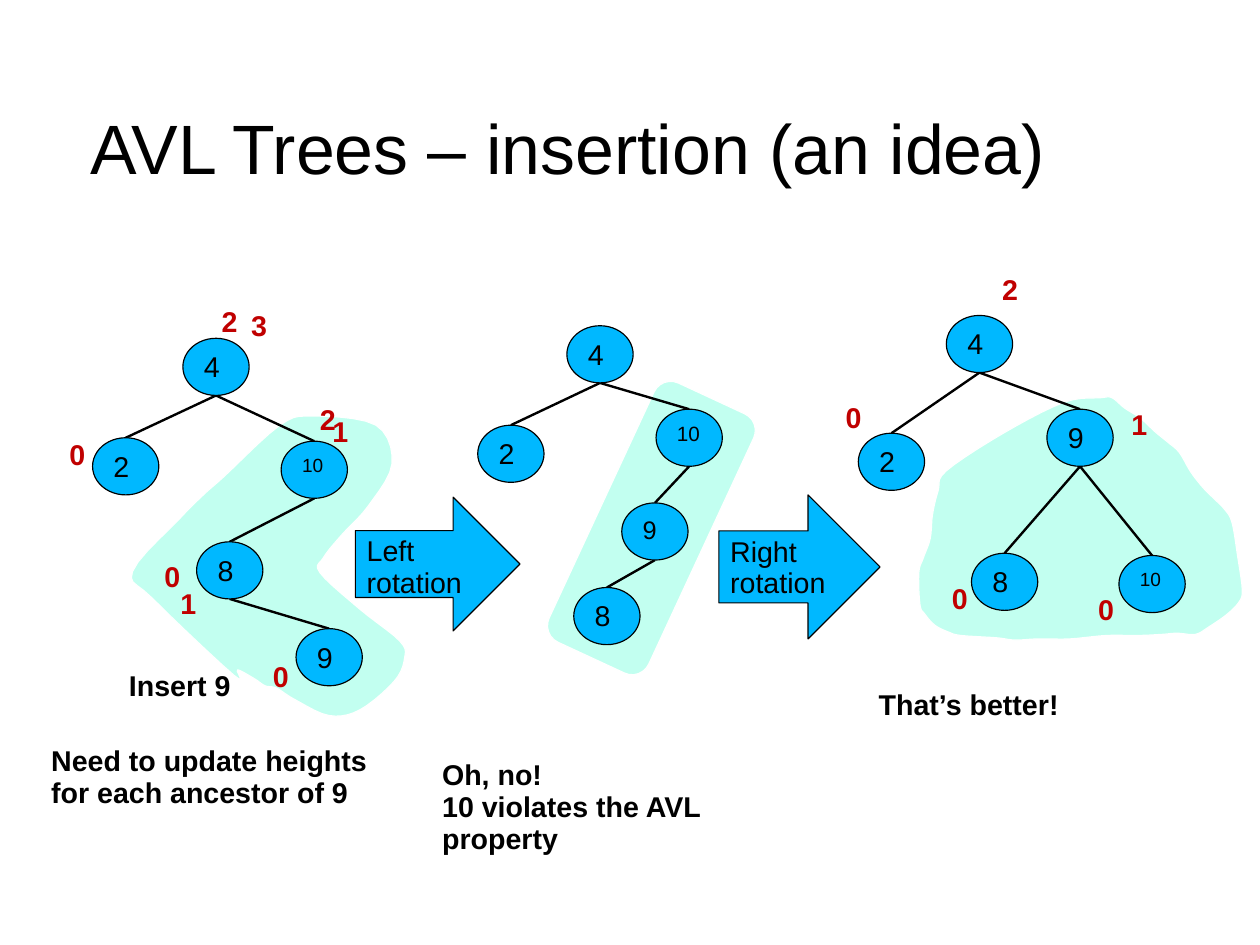
from lxml import etree
from pptx import Presentation
from pptx import util as u
from pptx.dml.color import RGBColor
from pptx.enum import shapes, text
from pptx.oxml.ns import qn

PX = 9144  # 100 px to the inch
SLIDE_WIDTH, SLIDE_HEIGHT = u.Pt(793.75), u.Pt(595.25)
NODE_WIDTH, NODE_HEIGHT = 58, 50
COLORS = {"ink": "000000", "node": "00B8FF", "height": "C00000",
          "highlight": "C2FFF0", "paper": "FFFFFF"}

ZIGZAG_OUTLINE = [
    (89, 227), (18, 160), (0, 136), (41, 90), (63, 68), (80, 53), (129, 8),
    (158, 0), (213, 8), (227, 42), (206, 79), (183, 104), (167, 124),
    (164, 137), (199, 169), (234, 197), (238, 212), (229, 232), (199, 257),
    (172, 262), (142, 248), (126, 238), (116, 236), (107, 230), (92, 222)]
SUBTREE_OUTLINE = [
    (24, 64), (74, 31), (127, 4), (159, 0), (169, 0), (180, 9), (194, 18),
    (207, 30), (218, 39), (228, 48), (238, 65), (249, 79), (258, 88),
    (267, 97), (274, 109), (279, 139), (283, 168), (280, 179), (269, 190),
    (253, 201), (242, 207), (226, 206), (213, 207), (192, 208), (164, 208),
    (132, 211), (104, 211), (84, 212), (68, 210), (37, 208), (26, 205),
    (14, 199), (5, 189), (1, 181), (0, 153), (4, 140), (10, 123),
    (12, 102), (17, 81)]


def color(name):
    return RGBColor.from_string(COLORS[name])


def px(*lengths):
    return [u.Emu(round(length * PX)) for length in lengths]


def write(frame, content, size=18, ink="ink", bold=False, wrap=True,
          anchor=text.MSO_ANCHOR.TOP):
    frame.word_wrap = wrap
    frame.vertical_anchor = anchor
    for index, line in enumerate(content.split("\n")):
        paragraph = frame.add_paragraph() if index else frame.paragraphs[0]
        paragraph.alignment = text.PP_ALIGN.LEFT
        paragraph.line_spacing = 0.93
        run = paragraph.add_run()
        run.text = line
        run.font.name = "Arial"
        run.font.size = u.Pt(size)
        run.font.bold = bold
        run.font.color.rgb = color(ink)


def add_label(slide, box, content, **style):
    frame = slide.shapes.add_textbox(*px(*box)).text_frame
    write(frame, content, bold=True, **style)
    frame.auto_size = text.MSO_AUTO_SIZE.SHAPE_TO_FIT_TEXT


def paint(shape, fill, line):
    shape.shadow.inherit = False
    shape.fill.solid()
    shape.fill.fore_color.rgb = color(fill)
    shape.line.color.rgb = color(line)
    shape.line.width = u.Pt(0.75)


def add_blue_shape(slide, kind, box, content, size=18):
    shape = slide.shapes.add_shape(kind, *px(*box))
    paint(shape, "node", "ink")
    write(shape.text_frame, content, size)


def add_edge(slide, start, end):
    edge = slide.shapes.add_connector(
        shapes.MSO_CONNECTOR.STRAIGHT, *px(*start, *end))
    edge.line.color.rgb = color("ink")
    edge.line.width = u.Pt(1.5)
    etree.SubElement(edge._element.spPr, qn("a:effectLst"))


def smooth(points, steps=5):
    """Closed Catmull-Rom curve through the points."""
    curve = []
    for i, b in enumerate(points):
        a, c, d = (points[(i + k) % len(points)] for k in (-1, 1, 2))
        for t in (step / steps for step in range(steps)):
            curve.append(tuple(
                b[k] + t * (c[k] - a[k]) / 2
                + t**2 * (2 * a[k] - 5 * b[k] + 4 * c[k] - d[k]) / 2
                + t**3 * (3 * b[k] - a[k] - 3 * c[k] + d[k]) / 2
                for k in (0, 1)))
    return curve


def add_highlight(slide, left, top, outline):
    points = [px(left + x, top + y) for x, y in smooth(outline)]
    builder = slide.shapes.build_freeform(*points[0])
    builder.add_line_segments(points[1:], close=True)
    paint(builder.convert_to_shape(), "highlight", "paper")


def add_band(slide, left, top):
    band = slide.shapes.add_shape(
        shapes.MSO_SHAPE.ROUNDED_RECTANGLE, *px(left, top, 96, 250))
    band.rotation = 24.9
    paint(band, "highlight", "paper")


def add_tree(slide, left, top, nodes, edges, heights=()):
    """nodes: label -> (x, y, text size); heights: (value, x, y)."""
    for parent, child in edges:
        (x1, y1, _), (x2, y2, _) = nodes[parent], nodes[child]
        middle = left + NODE_WIDTH / 2
        add_edge(slide, (middle + x1, top + y1 + NODE_HEIGHT),
                 (middle + x2, top + y2))
    for label, (x, y, size) in nodes.items():
        add_blue_shape(slide, shapes.MSO_SHAPE.OVAL,
                       (left + x, top + y, NODE_WIDTH, NODE_HEIGHT),
                       label, size)
    for value, x, y in heights:
        add_label(slide, (left + x, top + y, 34, 38), value,
                  ink="height", wrap=False)


def add_insertion_panel(slide, left, top):
    add_highlight(slide, left + 66, top + 104, ZIGZAG_OUTLINE)
    add_tree(slide, left, top,
             {"4": (110, 36, 18), "2": (31, 123, 18), "10": (196, 126, 12),
              "8": (122, 214, 18), "9": (209, 290, 18)},
             [("4", "2"), ("4", "10"), ("10", "8"), ("8", "9")],
             [("0", 1, 120), ("0", 84, 227), ("1", 231, 100), ("2", 134, 4),
              ("3", 160, 7), ("0", 179, 314), ("2", 220, 89), ("1", 98, 250)])
    add_label(slide, (left + 53, top + 322, 146, 38), "Insert 9")
    add_label(slide, (left - 15, top + 388, 306, 66),
              "Need to update heights for each ancestor of 9")


def add_violation_panel(slide, left, top):
    add_band(slide, left + 112, top + 57)
    add_tree(slide, left, top,
             {"4": (86, 5, 18), "2": (8, 92, 18), "10": (164, 78, 13),
              "9": (134, 160, 16), "8": (92, 234, 18)},
             [("4", "2"), ("4", "10"), ("10", "9"), ("9", "8")])
    add_label(slide, (left - 33, top + 380, 351, 95),
              "Oh, no!\n10 violates the AVL property")


def add_balanced_panel(slide, left, top):
    add_highlight(slide, left + 84, top + 118, SUBTREE_OUTLINE)
    add_tree(slide, left, top,
             {"4": (108, 46, 18), "2": (31, 149, 18), "9": (196, 128, 18),
              "8": (130, 254, 18), "10": (259, 256, 12)},
             [("4", "2"), ("4", "9"), ("9", "8"), ("9", "10")],
             [("0", 10, 118), ("1", 260, 124), ("2", 147, 6),
              ("0", 103, 276), ("0", 231, 286)])
    add_label(slide, (left + 39, top + 369, 341, 38), "That’s better!")


def add_title(slide, box):
    frame = slide.shapes.add_textbox(*px(*box)).text_frame
    frame.margin_left = frame.margin_right = frame.margin_bottom = 0
    frame.margin_top = u.Inches(0.04)
    write(frame, "AVL Trees – insertion (an idea)", size=44,
          anchor=text.MSO_ANCHOR.MIDDLE)


def main():
    presentation = Presentation()
    presentation.slide_width = SLIDE_WIDTH
    presentation.slide_height = SLIDE_HEIGHT
    slide = presentation.slides.add_slide(presentation.slide_layouts[6])
    add_title(slide, (79, 62, 925, 137))
    add_insertion_panel(slide, 50, 260)
    add_violation_panel(slide, 410, 280)
    add_balanced_panel(slide, 720, 230)
    for box, content in (((311, 435, 144, 117), "Left rotation"),
                         ((629, 433, 141, 126), "Right rotation")):
        add_blue_shape(slide, shapes.MSO_SHAPE.RIGHT_ARROW, box, content)
    presentation.save("out.pptx")


if __name__ == "__main__":
    main()
